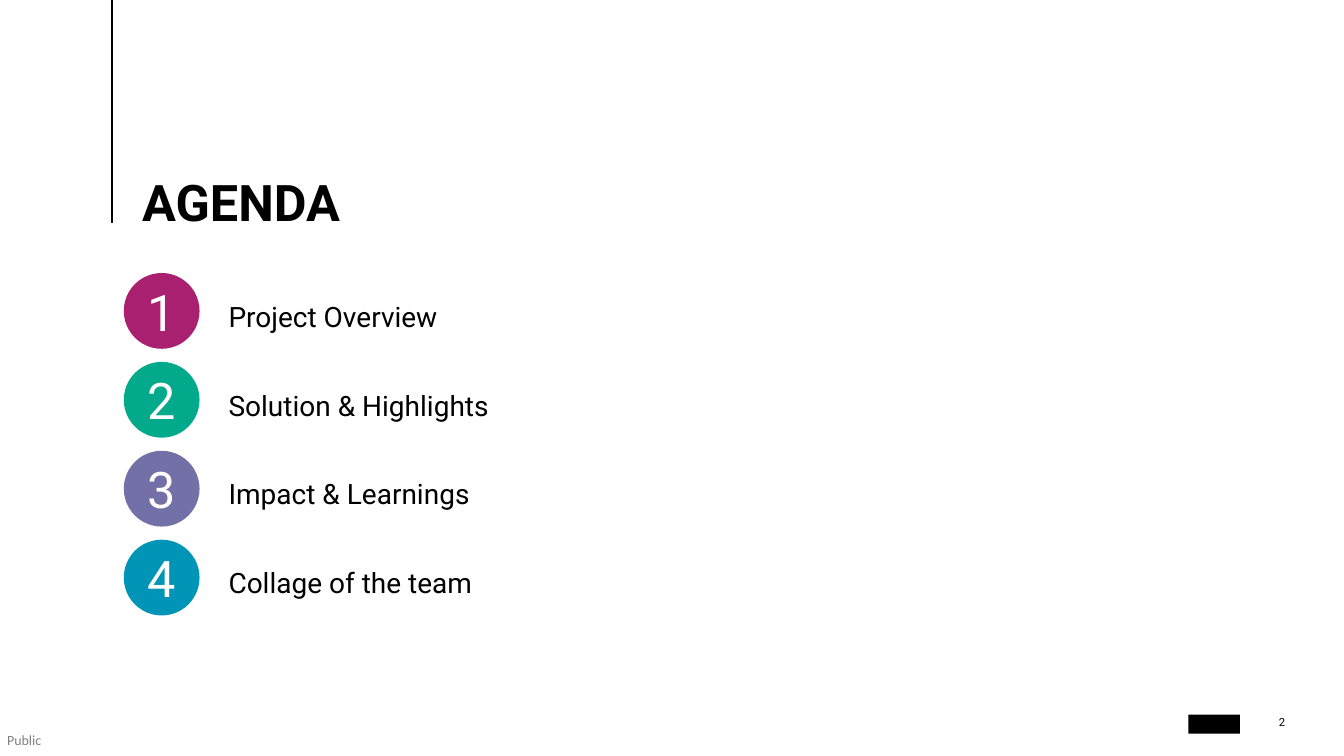
from lxml.etree import SubElement
from pptx import Presentation
from pptx.dml.color import RGBColor
from pptx.enum.shapes import MSO_CONNECTOR, MSO_SHAPE
from pptx.enum.text import MSO_ANCHOR, PP_ALIGN
from pptx.oxml.ns import qn
from pptx.util import Cm, Pt

BLACK = RGBColor(0x00, 0x00, 0x00)
WHITE = RGBColor(0xFF, 0xFF, 0xFF)
GREY = RGBColor(0x80, 0x80, 0x80)
MAGENTA = RGBColor(0xAA, 0x20, 0x70)
GREEN = RGBColor(0x02, 0xA9, 0x8B)
PURPLE = RGBColor(0x73, 0x70, 0xA7)
BLUE = RGBColor(0x00, 0x95, 0xB7)

TITLE = "AGENDA"
AGENDA = [
    ("Project Overview", MAGENTA),
    ("Solution & Highlights", GREEN),
    ("Impact & Learnings", PURPLE),
    ("Collage of the team", BLUE),
]
CLASSIFICATION = "Public"
PAGE_NUMBER = "2"

TITLE_FONT = {"name": "Roboto", "size": Pt(36), "bold": True}
LABEL_FONT = {"name": "Roboto", "size": Pt(20)}
NUMBER_FONT = {"name": "Roboto", "size": Pt(36)}
PAGE_FONT = {"name": "Roboto", "size": Pt(8)}
CLASSIFICATION_FONT = {"name": "Calibri", "size": Pt(10)}
LABEL_PARAGRAPH = {"line_spacing": 0.9, "space_before": Pt(10)}
NO_MARGINS = {"margin_left": 0, "margin_right": 0, "margin_top": 0, "margin_bottom": 0}

FIRST_ROW_TOP = 6.88
ROW_PITCH = 2.24
CIRCLE_LEFT = 3.12
CIRCLE_SIZE = 1.91
LABEL_LEFT = 5.51
LABEL_OFFSET = 0.63


def set_attributes(target, values):
    for name, value in values.items():
        setattr(target, name, value)


def write(shape, text, font, color, frame_format=None, paragraph_format=None):
    frame = shape.text_frame
    set_attributes(frame, {"word_wrap": True, **(frame_format or {})})
    paragraph = frame.paragraphs[0]
    set_attributes(paragraph, {"alignment": PP_ALIGN.LEFT, **(paragraph_format or {})})
    run = paragraph.add_run()
    run.text = text
    set_attributes(run.font, font)
    run.font.color.rgb = color


def add_plain_shape(slide, kind, box, color):
    shape = slide.shapes.add_shape(kind, *map(Cm, box))
    shape.shadow.inherit = False
    shape.fill.solid()
    shape.fill.fore_color.rgb = color
    shape.line.fill.background()
    return shape


def add_text(slide, box, *content):
    write(slide.shapes.add_textbox(*map(Cm, box)), *content)


def add_title(slide):
    line = slide.shapes.add_connector(MSO_CONNECTOR.STRAIGHT, Cm(2.82), 0, Cm(2.82), Cm(5.62))
    line.line.color.rgb = BLACK
    line.line.width = Pt(1)
    SubElement(line._element.spPr, qn("a:effectLst"))

    title = slide.shapes.title
    position = {"left": Cm(3.33), "top": Cm(4.19), "width": Cm(13.36), "height": Cm(1.6)}
    set_attributes(title, position)
    write(title, TITLE, TITLE_FONT, BLACK, {"vertical_anchor": MSO_ANCHOR.TOP})


def add_agenda(slide):
    for index, (label, color) in enumerate(AGENDA):
        top = FIRST_ROW_TOP + index * ROW_PITCH
        circle_box = (CIRCLE_LEFT, top, CIRCLE_SIZE, CIRCLE_SIZE)
        circle = add_plain_shape(slide, MSO_SHAPE.OVAL, circle_box, color)
        write(circle, str(index + 1), NUMBER_FONT, WHITE,
              {"vertical_anchor": MSO_ANCHOR.MIDDLE, **NO_MARGINS},
              {"alignment": PP_ALIGN.CENTER})
        add_text(slide, (LABEL_LEFT, top + LABEL_OFFSET, 10.06, 1.12),
                 label, LABEL_FONT, BLACK, {}, LABEL_PARAGRAPH)


def add_footer(slide):
    add_text(slide, (0.18, 18.44, 0.94, 0.43), CLASSIFICATION, CLASSIFICATION_FONT, GREY,
             {"word_wrap": False, **NO_MARGINS})
    add_plain_shape(slide, MSO_SHAPE.RECTANGLE, (29.95, 18.01, 1.3, 0.48), BLACK)
    add_text(slide, (31.98, 18.08, 1.52, 0.25), PAGE_NUMBER, PAGE_FONT, BLACK,
             {"vertical_anchor": MSO_ANCHOR.MIDDLE})


def main():
    presentation = Presentation()
    presentation.slide_width = Cm(33.87)
    presentation.slide_height = Cm(19.05)
    slide = presentation.slides.add_slide(presentation.slide_layouts[5])
    add_title(slide)
    add_agenda(slide)
    add_footer(slide)
    presentation.save("out.pptx")


if __name__ == "__main__":
    main()
